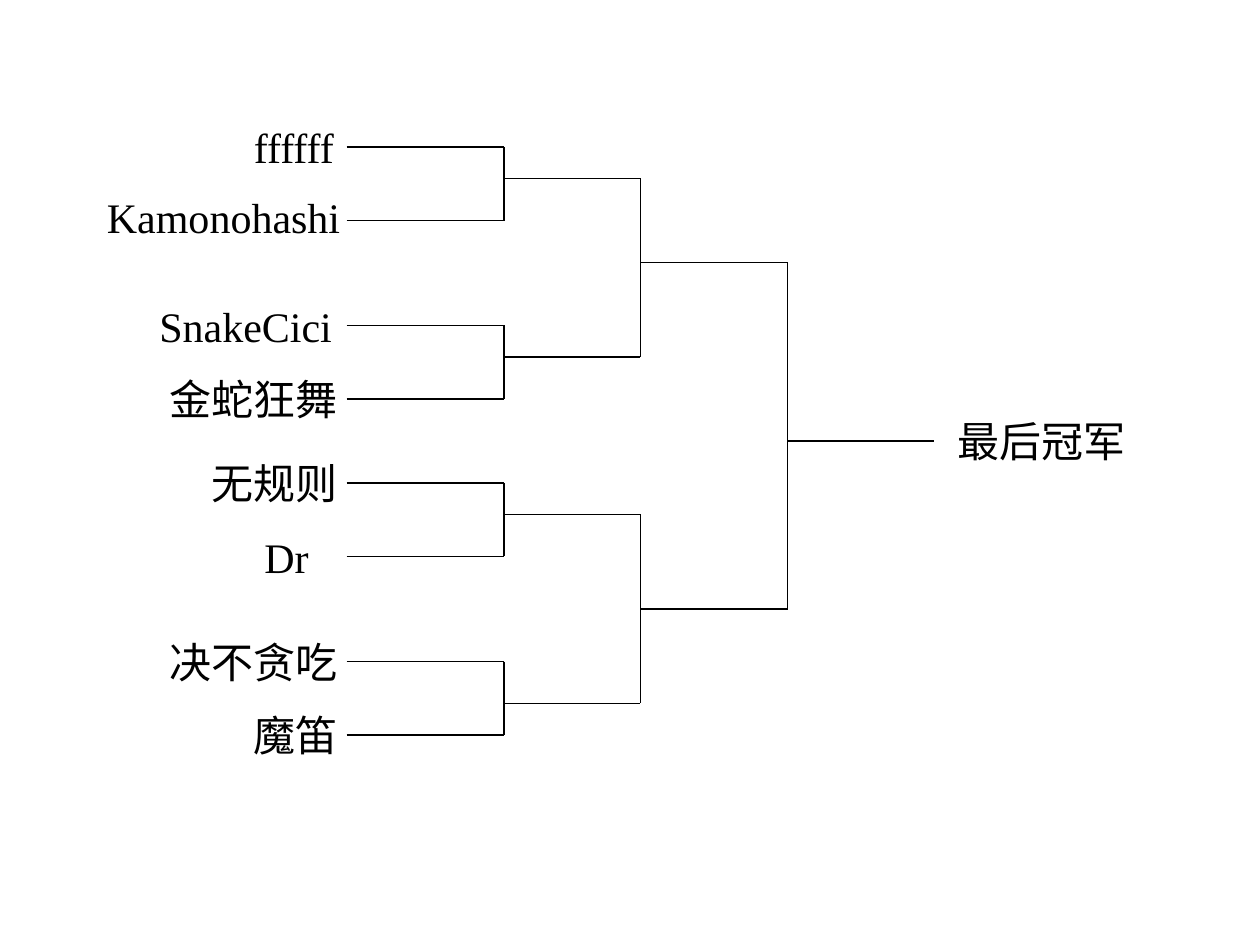
from lxml import etree
from pptx import Presentation
from pptx.dml.color import RGBColor
from pptx.enum.shapes import MSO_CONNECTOR
from pptx.enum.text import MSO_AUTO_SIZE, PP_ALIGN
from pptx.oxml.ns import qn
from pptx.util import Pt

STRAIGHT = MSO_CONNECTOR.STRAIGHT
GROW = MSO_AUTO_SIZE.SHAPE_TO_FIT_TEXT
LEFT = PP_ALIGN.LEFT
INK = "000000"
FONT = "Times New Roman"
LABEL_H = 36

# Bracket geometry, relative to its top left corner
EDGES = [0, 90, 168, 252, 336]
ROUNDS = [
    [0, 42, 102, 144, 192, 234, 294, 336],
    [18, 120, 210, 318],
    [66, 264],
    [168],
]
# Name, left, width and vertical shift of each label
PLAYERS = [
    ("ffffff", -60, 72, 0),
    ("Kamonohashi", -144, 156, -2),
    ("SnakeCici", -114, 126, 0),
    ("金蛇狂舞", -108, 120, 0),
    ("无规则", -84, 96, 0),
    ("Dr", -54, 72, 0),
    ("决不贪吃", -108, 126, 0),
    ("魔笛", -60, 72, 0),
]
CHAMPION = ("最后冠军", 342, 126, 0)


def color(code):
    return RGBColor.from_string(code)


def rule(shapes, x1, y1, x2, y2):
    line = shapes.add_connector(STRAIGHT, Pt(x1), Pt(y1), Pt(x2), Pt(y2))
    line.line.color.rgb = color(INK)
    line.line.width = Pt(0.75)
    etree.SubElement(line._element.spPr, qn("a:effectLst"))


def label(slide, text, left, mid, width):
    box = slide.shapes.add_textbox(
        Pt(left), Pt(mid - LABEL_H / 2), Pt(width), Pt(LABEL_H))
    frame = box.text_frame
    frame.text = text
    frame.word_wrap = True
    frame.auto_size = GROW
    para = frame.paragraphs[0]
    para.alignment = LEFT
    para.space_before = Pt(15)
    font = para.runs[0].font
    font.name = FONT
    font.size = Pt(24)
    font.color.rgb = color(INK)


def bracket(slide, left, top):
    lines = slide.shapes.add_group_shape().shapes
    for start, end, rows in zip(EDGES, EDGES[1:], ROUNDS):
        # One branch for each entrant of the round
        for y in rows:
            rule(lines, left + start, top + y, left + end, top + y)
        # One upright for each pair
        for y1, y2 in zip(rows[::2], rows[1::2]):
            rule(lines, left + end, top + y1, left + end, top + y2)

    # Names at the first branches and at the last one
    tags = zip(PLAYERS + [CHAMPION], ROUNDS[0] + ROUNDS[-1])
    for (name, x, width, shift), y in tags:
        label(slide, name, left + x, top + y + shift, width)


def main():
    deck = Presentation()
    deck.slide_width, deck.slide_height = Pt(720), Pt(540)
    slide = deck.slides.add_slide(deck.slide_layouts[6])
    bracket(slide, 198, 84)
    deck.save("out.pptx")


if __name__ == "__main__":
    main()
